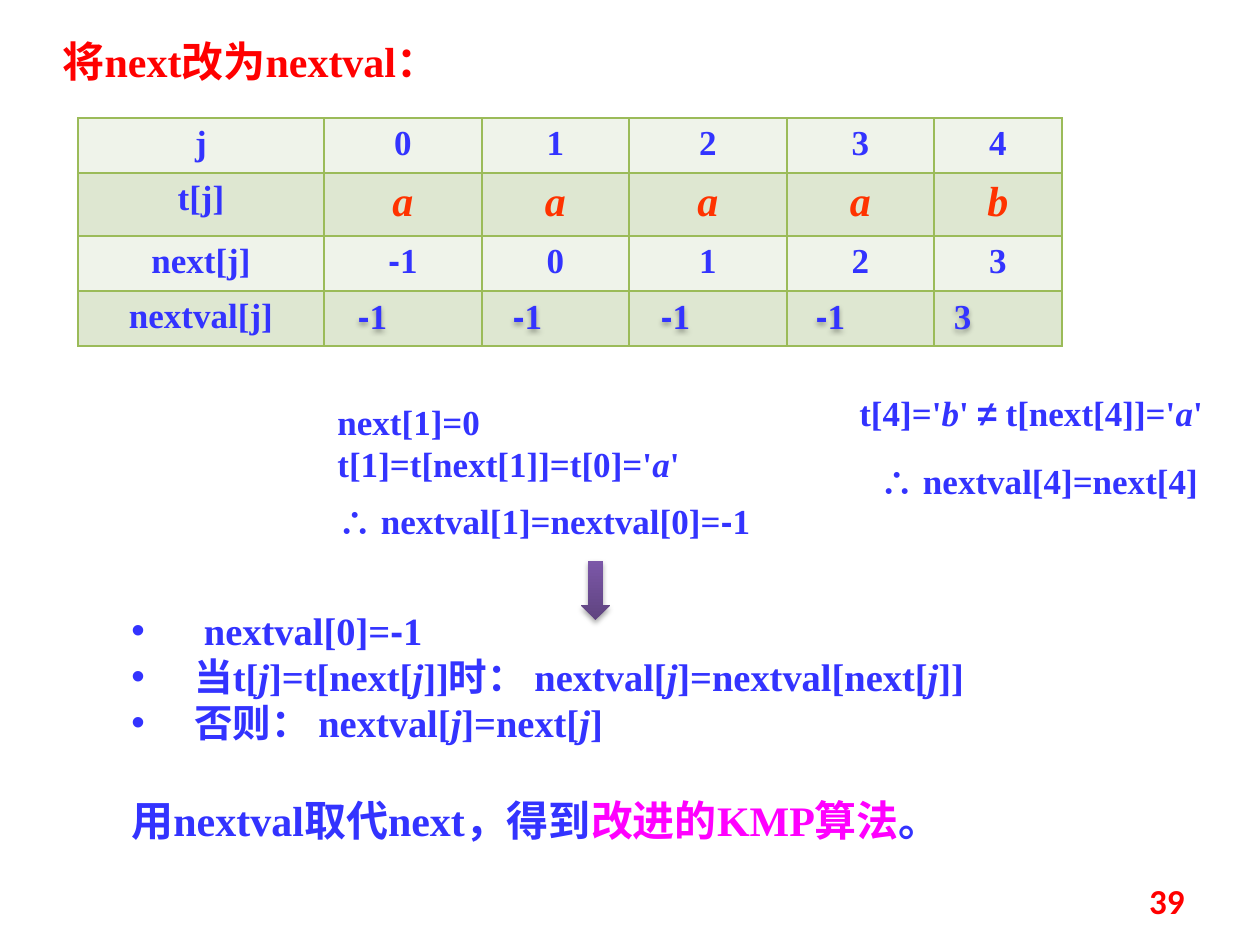
"""Build the slide that turns the KMP next table into a nextval table."""
from lxml.etree import SubElement
from pptx import Presentation
from pptx.dml.color import RGBColor
from pptx.enum.shapes import MSO_SHAPE
from pptx.enum.text import MSO_ANCHOR, PP_ALIGN
from pptx.oxml import parse_xml
from pptx.oxml.ns import nsdecls, qn
from pptx.util import Pt

SCALE = 914400 / 126
COLORS = {
    "blue": "3333FF", "red": "FF0000", "orange": "FF3300", "magenta": "FF00FF",
    "light": "EFF3EA", "dark": "DEE7D1", "border": "9BBB59",
    "arrow_dark": "5F4480", "arrow_light": "7C57A8",
}
SERIF = "Times New Roman"
MINUS_ONE = [("-", "arial"), "1"]


def add_runs(paragraph, runs, size=20, color="blue", name=SERIF):
    for item in runs:
        text, style = (item, "") if isinstance(item, str) else item
        run = paragraph.add_run()
        run.text = text
        run.font.name = "Arial" if style == "arial" else name
        run.font.size = Pt(size)
        run.font.bold = True
        run.font.italic = style == "italic"
        run.font.color.rgb = RGBColor.from_string(COLORS[style if style in COLORS else color])


def add_shadow(shape):
    shape.shadow.inherit = False
    shape._element.spPr.find(qn("a:effectLst")).append(parse_xml(
        f'<a:outerShdw {nsdecls("a")} blurRad="39370" dist="22860" dir="5400000" rotWithShape="0">'
        '<a:srgbClr val="000000"><a:alpha val="35000"/></a:srgbClr></a:outerShdw>'))


presentation = Presentation()
presentation.slide_width = round(1260 * SCALE)
presentation.slide_height = round(945 * SCALE)
slide = presentation.slides.add_slide(presentation.slide_layouts[5])

title = slide.shapes.title
title.left, title.top, title.width, title.height = [round(n * SCALE) for n in (50, 29, 493, 64)]
title.text_frame.vertical_anchor = MSO_ANCHOR.TOP
title.text_frame.paragraphs[0].alignment = PP_ALIGN.LEFT
add_runs(title.text_frame.paragraphs[0], ["将next改为nextval："], 24, "red")

column_widths = [246, 158, 147, 158, 147, 128]
row_heights = [55, 63, 55, 55]
rows = [
    [["j"], ["0"], ["1"], ["2"], ["3"], ["4"]],
    [["t[j]"]] + [[(letter, "italic")] for letter in "aaaab"],
    [["next[j]"], MINUS_ONE, ["0"], ["1"], ["2"], ["3"]],
    [["nextval[j]"], [], [], [], [], []],
]
table = slide.shapes.add_table(4, 6, *[round(n * SCALE) for n in (78, 118, 984, 228)]).table
table.first_row = False
table.horz_banding = False
for column, width in zip(table.columns, column_widths):
    column.width = round(width * SCALE)
for row_index, (row, height) in enumerate(zip(rows, row_heights)):
    table.rows[row_index].height = round(height * SCALE)
    for column_index, runs in enumerate(row):
        cell = table.cell(row_index, column_index)
        properties = cell._tc.get_or_add_tcPr()
        for side in ("a:lnL", "a:lnR", "a:lnT", "a:lnB"):
            line = SubElement(properties, qn(side), w=str(Pt(1)))
            line_fill = SubElement(line, qn("a:solidFill"))
            SubElement(line_fill, qn("a:srgbClr"), val=COLORS["border"])
        cell.fill.solid()
        cell.fill.fore_color.rgb = RGBColor.from_string(COLORS["dark" if row_index % 2 else "light"])
        paragraph = cell.text_frame.paragraphs[0]
        paragraph.alignment = PP_ALIGN.CENTER
        is_letter = row_index == 1 and column_index > 0
        add_runs(paragraph, runs, 24 if is_letter else 20, "orange" if is_letter else "blue")

nextval_values = [(358, MINUS_ONE), (513, MINUS_ONE), (661, MINUS_ONE), (816, MINUS_ONE), (954, ["3"])]
for left, runs in nextval_values:
    value_box = slide.shapes.add_textbox(*[round(n * SCALE) for n in (left, 294, 90, 43)])
    frame = value_box.text_frame
    frame.word_wrap = True
    frame.margin_left = frame.margin_top = frame.margin_right = frame.margin_bottom = 0
    add_runs(frame.paragraphs[0], runs)
    add_shadow(value_box)

text_boxes = [
    ((325, 394, 395, 97), 20, [
        ["next[1]=0"],
        ["t[1]=t[next[1]]=t[0]='", ("a", "italic"), "'"]]),
    ((325, 493, 453, 55), 20, [["∴ nextval[1]=nextval[0]=", *MINUS_ONE]]),
    ((847, 385, 413, 55), 20, [
        ["t[4]='", ("b", "italic"), "' ", ("≠", "arial"), " t[next[4]]='", ("a", "italic"), "'"]]),
    ((867, 453, 344, 55), 20, [["∴ nextval[4]=next[4]"]]),
    ((119, 788, 906, 63), 24, [["用nextval取代next，得到", ("改进的KMP算法", "magenta"), "。"]]),
]
for box, size, paragraphs in text_boxes:
    frame = slide.shapes.add_textbox(*[round(n * SCALE) for n in box]).text_frame
    frame.word_wrap = True
    for index, runs in enumerate(paragraphs):
        paragraph = frame.add_paragraph() if index else frame.paragraphs[0]
        add_runs(paragraph, runs, size)

rules = [
    [" nextval[0]=", *MINUS_ONE],
    ["当t[", ("j", "italic"), "]=t[next[", ("j", "italic"), "]]时： nextval[", ("j", "italic"),
     "]=nextval[next[", ("j", "italic"), "]]"],
    ["否则： nextval[", ("j", "italic"), "]=next[", ("j", "italic"), "]"],
]
frame = slide.shapes.add_textbox(*[round(n * SCALE) for n in (119, 601, 974, 153)]).text_frame
frame.word_wrap = True
for index, runs in enumerate(rules):
    paragraph = frame.add_paragraph() if index else frame.paragraphs[0]
    properties = paragraph._p.get_or_add_pPr()
    properties.set("marL", str(round(63 * SCALE)))
    properties.set("indent", str(round(-63 * SCALE)))
    SubElement(properties, qn("a:buFont"), typeface="Arial")
    SubElement(properties, qn("a:buChar"), char="•")
    add_runs(paragraph, runs, 22)

arrow = slide.shapes.add_shape(MSO_SHAPE.DOWN_ARROW, *[round(n * SCALE) for n in (581, 561, 29, 59)])
arrow.fill.gradient()
arrow.fill.gradient_angle = 90
for stop, color in zip(arrow.fill.gradient_stops, ("arrow_dark", "arrow_light")):
    stop.color.rgb = RGBColor.from_string(COLORS[color])
arrow.line.fill.background()
add_shadow(arrow)

frame = slide.shapes.add_textbox(*[round(n * SCALE) for n in (903, 876, 294, 50)]).text_frame
frame.word_wrap = True
frame.vertical_anchor = MSO_ANCHOR.MIDDLE
frame.paragraphs[0].alignment = PP_ALIGN.RIGHT
add_runs(frame.paragraphs[0], ["39"], 20, "red", "Calibri")

presentation.save("out.pptx")
